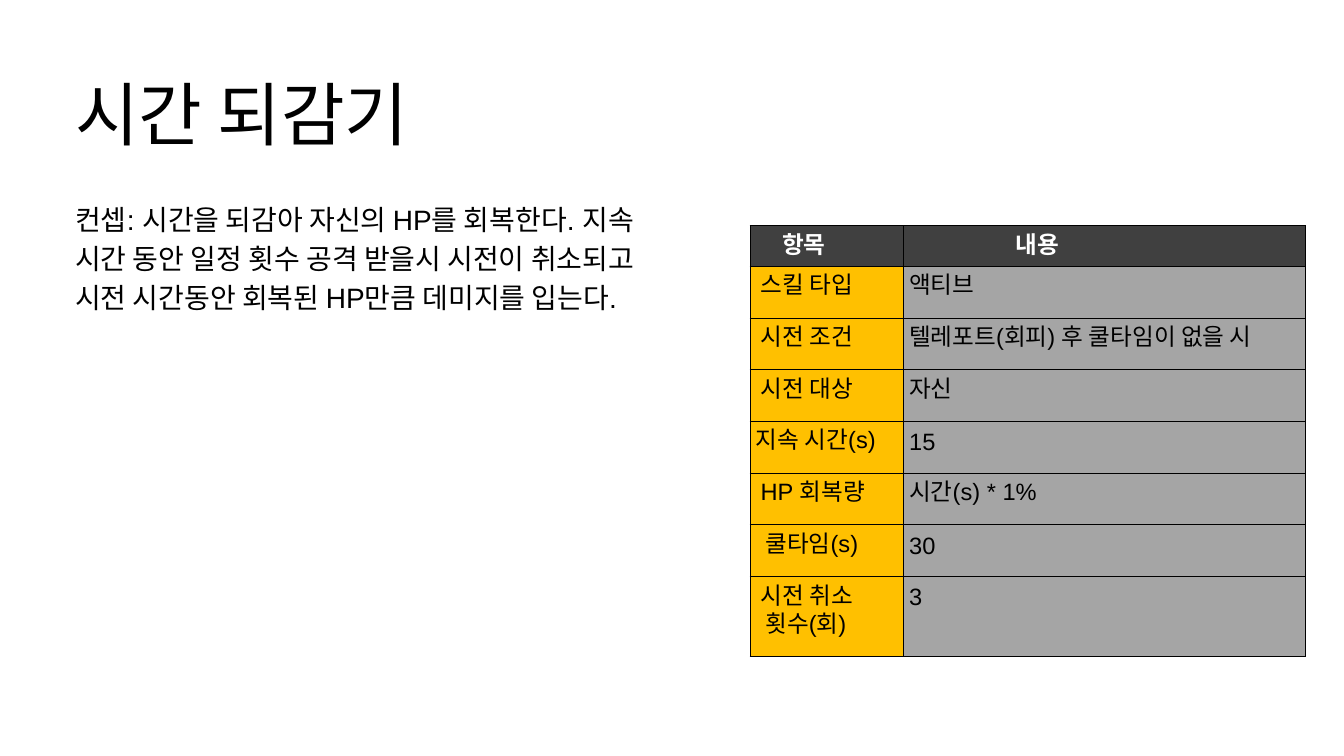
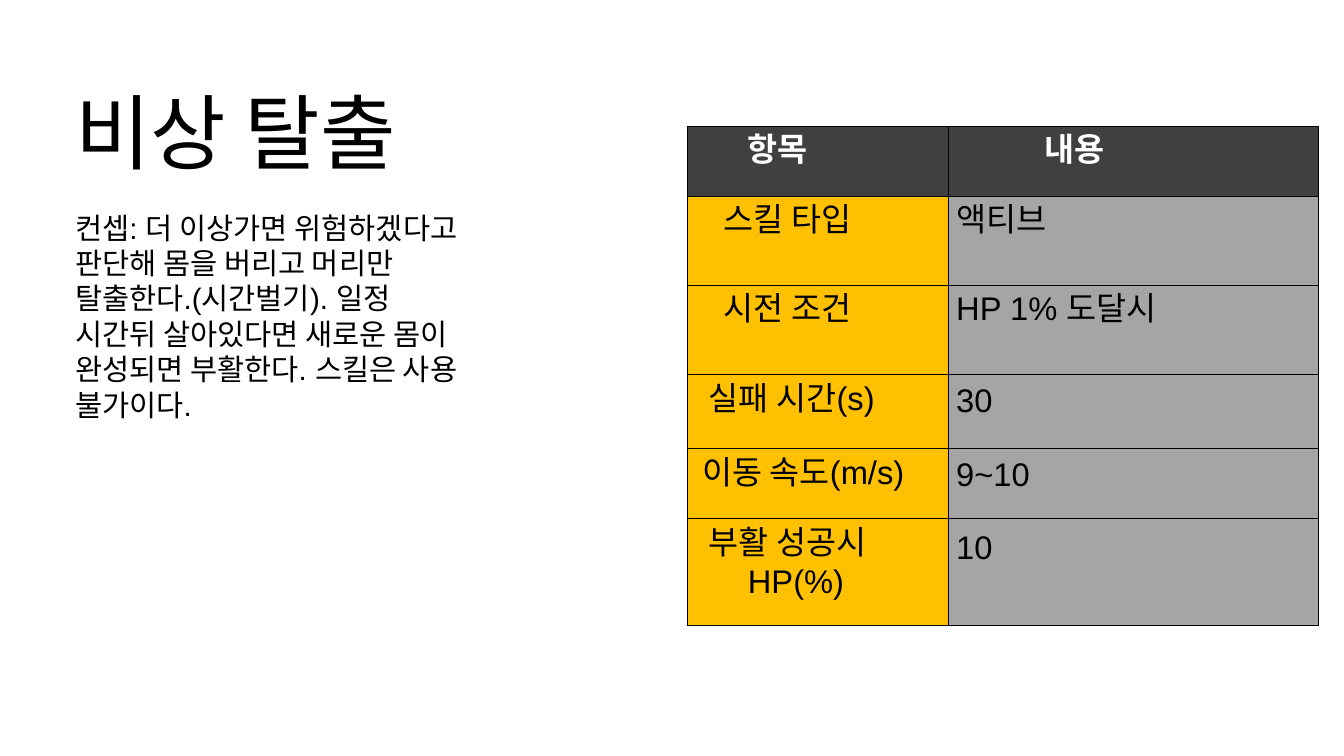
from dataclasses import dataclass

from lxml.etree import SubElement
from pptx import Presentation
from pptx.dml.color import RGBColor
from pptx.enum.text import MSO_ANCHOR, MSO_AUTO_SIZE, PP_ALIGN
from pptx.oxml.ns import qn
from pptx.util import Inches, Pt


@dataclass(frozen=True)
class Type:
    size: float
    lead: float


@dataclass(frozen=True)
class Theme:
    font: str = "Arial"
    alt: str = "Lato"
    ink: str = "000000"
    paper: str = "FFFFFF"
    head: str = "404040"
    label: str = "FFC000"
    value: str = "A5A5A5"
    title: tuple = (Type(74.1, 81.5), Type(88, 105.6))
    body: tuple = (Type(30, 42), Type(31.6, 37.9))
    cell: tuple = (Type(25.3, 30.4), Type(35, 39.4))
    line: tuple = (0.94, 1.23)
    pad: tuple = (0.09, 0.12)


@dataclass(frozen=True)
class Cell:
    """Text of a table cell, with one left indent per line."""
    text: str
    indent: tuple = (0,)
    font: str = ""
    lead: float = 0


class Deck:
    COLS, ROWS = 20, 11.25

    def __init__(self, theme):
        self.theme = theme
        self.file = Presentation()
        self.file.slide_width = Inches(20)
        self.file.slide_height = Inches(11.25)
        self.page = -1

    def x(self, cols):
        return round(self.file.slide_width * cols / self.COLS)

    def y(self, rows):
        return round(self.file.slide_height * rows / self.ROWS)

    def place(self, left, top, wide, high):
        return self.x(left), self.y(top), self.x(wide), self.y(high)

    def start(self):
        self.slide = self.file.slides.add_slide(self.file.slide_layouts[5])
        self.page += 1

    def style(self, par, kind, color=None, bold=False, font=None, lead=0):
        par.alignment = PP_ALIGN.LEFT
        par.line_spacing = Pt(lead or kind.lead)
        par.font.size = Pt(kind.size)
        par.font.name = font or self.theme.font
        par.font.bold = bold
        par.font.color.rgb = RGBColor.from_string(color or self.theme.ink)

    def label(self, shape, text, kind):
        frame = shape.text_frame
        frame.text = text
        frame.word_wrap = True
        frame.auto_size = MSO_AUTO_SIZE.SHAPE_TO_FIT_TEXT
        frame.vertical_anchor = MSO_ANCHOR.TOP
        frame.margin_left = frame.margin_right = 0
        frame.margin_top = frame.margin_bottom = 0
        self.style(frame.paragraphs[0], kind)

    def title(self, text, *box):
        shape = self.slide.shapes.title
        shape.left, shape.top, shape.width, shape.height = self.place(*box)
        self.label(shape, text, self.theme.title[self.page])

    def body(self, text, *box):
        shape = self.slide.shapes.add_textbox(*self.place(*box))
        self.label(shape, text, self.theme.body[self.page])

    def border(self, cell):
        props = cell._tc.get_or_add_tcPr()
        width = str(Pt(self.theme.line[self.page]))
        for side in ("lnL", "lnR", "lnT", "lnB"):
            line = SubElement(props, qn(f"a:{side}"), w=width)
            fill = SubElement(line, qn("a:solidFill"))
            SubElement(fill, qn("a:srgbClr"), val=self.theme.ink)

    def fill(self, cell, data, back, head):
        theme = self.theme
        pad = self.x(theme.pad[self.page])
        cell.margin_left = cell.margin_right = pad
        cell.margin_top = cell.margin_bottom = pad
        self.border(cell)
        cell.fill.solid()
        cell.fill.fore_color.rgb = RGBColor.from_string(back)
        cell.text_frame.text = data.text
        for par, indent in zip(cell.text_frame.paragraphs, data.indent):
            par._p.get_or_add_pPr().set("marL", str(self.x(indent)))
            self.style(par, theme.cell[self.page],
                       theme.paper if head else theme.ink,
                       head, data.font, data.lead)

    def table(self, left, top, wides, highs, rows):
        box = self.place(left, top, sum(wides), sum(highs))
        grid = self.slide.shapes.add_table(len(rows), len(wides), *box).table
        grid.first_row = grid.horz_banding = False
        for col, wide in zip(grid.columns, wides):
            col.width = self.x(wide)
        for row, high in zip(grid.rows, highs):
            row.height = self.y(high)
        theme = self.theme
        for r, row in enumerate(rows):
            backs = (theme.label, theme.value) if r else (theme.head,) * 2
            for c, data in enumerate(row):
                self.fill(grid.cell(r, c), data, backs[c], r == 0)


def rewind(deck):
    deck.start()
    deck.table(11.16, 3.36, (2.28, 5.99), (0.57, *[0.77] * 6, 1.19), [
        (Cell("항목", (0.39,)), Cell("내용", (1.58,))),
        (Cell("스킬 타입", (0.07,)), Cell("액티브")),
        (Cell("시전 조건", (0.07,)),
         Cell("텔레포트(회피) 후 쿨타임이 없을 시")),
        (Cell("시전 대상", (0.07,)), Cell("자신")),
        (Cell("지속 시간(s)"), Cell("15")),
        (Cell("HP 회복량", (0.07,)), Cell("시간(s) * 1%")),
        (Cell("쿨타임(s)", (0.14,)), Cell("30")),
        (Cell("시전 취소\n횟수(회)", (0.07, 0.14)), Cell("3")),
    ])
    deck.title("시간 되감기", 1.12, 1.17, 8.37, 1.19)
    deck.body("컨셉: 시간을 되감아 자신의 HP를 회복한다. 지속 시간 동안 "
              "일정 횟수 공격 받을시 시전이 취소되고 시전 시간동안 "
              "회복된 HP만큼 데미지를 입는다.", 1.12, 2.93, 8.37, 2.33)


def escape(deck):
    alt = deck.theme.alt
    deck.start()
    deck.table(10.23, 1.88, (3.88, 5.51),
               (1.04, 1.33, 1.33, 1.1, 1.04, 1.59), [
        (Cell("항목", (0.77,)), Cell("내용", (1.32,))),
        (Cell("스킬 타입", (0.42,), alt), Cell("액티브", font=alt)),
        (Cell("시전 조건", (0.42,), alt), Cell("HP 1% 도달시")),
        (Cell("실패 시간(s)", (0.2,)), Cell("30")),
        (Cell("이동 속도(m/s)", (0.1,)), Cell("9~10")),
        (Cell("부활 성공시\nHP(%)", (0.2, 0.78)), Cell("10", lead=42)),
    ])
    deck.title("비상 탈출", 1.12, 1.21, 6.79, 1.5)
    deck.body("컨셉: 더 이상가면 위험하겠다고 판단해 몸을 버리고 머리만 "
              "탈출한다.(시간벌기). 일정 시간뒤 살아있다면 새로운 몸이 "
              "완성되면 부활한다. 스킬은 사용 불가이다.",
              1.12, 3.12, 5.87, 2.62)


def main():
    deck = Deck(Theme())
    rewind(deck)
    escape(deck)
    deck.file.save("out.pptx")


if __name__ == "__main__":
    main()
